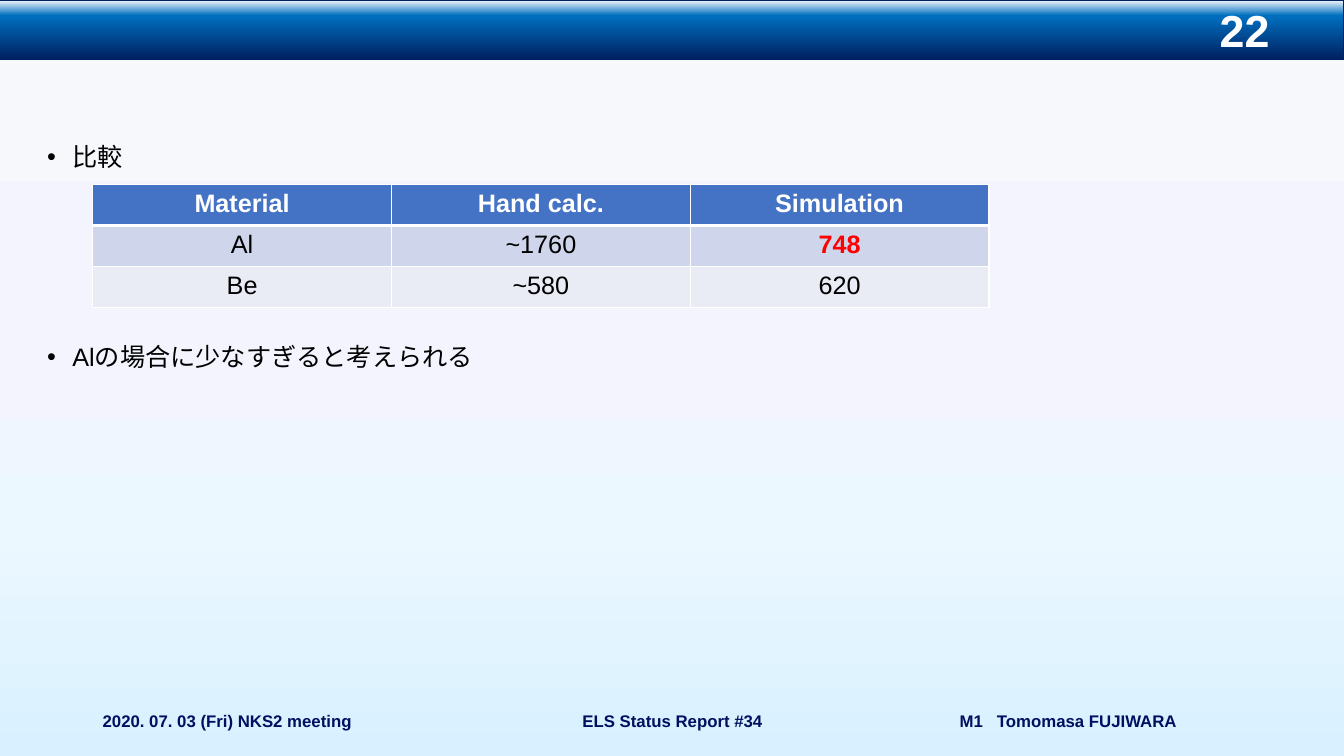
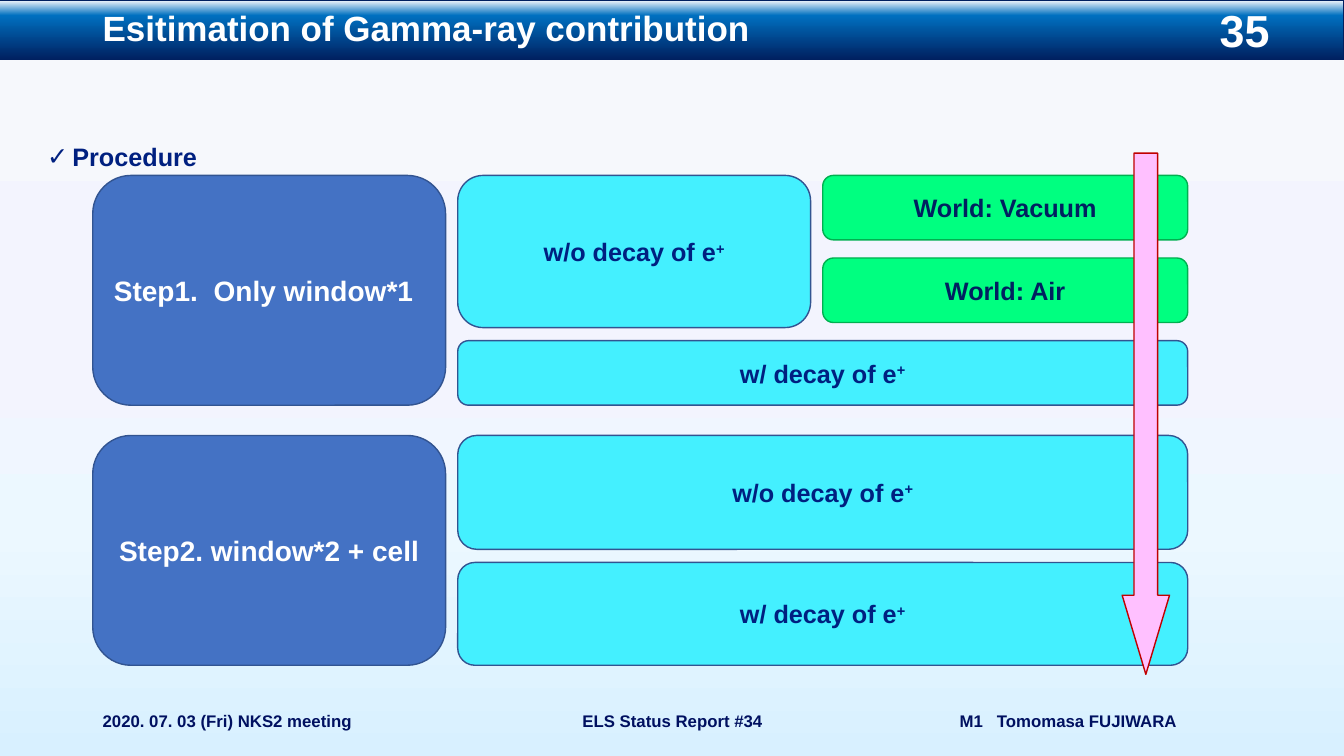
from dataclasses import dataclass

import lxml.etree
import pptx
import pptx.dml.color
import pptx.enum.shapes
import pptx.enum.text
import pptx.oxml.ns
import pptx.util

Inches = pptx.util.Inches
Pt = pptx.util.Pt
qn = pptx.oxml.ns.qn
SHAPES = pptx.enum.shapes.MSO_SHAPE
ALIGN = pptx.enum.text.PP_ALIGN
ANCHOR = pptx.enum.text.MSO_ANCHOR


@dataclass(frozen=True)
class Theme:
    font: str = "Arial"
    width: float = 13.33
    height: float = 7.5
    band_height: float = 0.59
    page: tuple = ((0, "F6F8FC"), (48, "F3F4FE"), (70, "ECF8FF"), (100, "D8F0FF"))
    band: tuple = ((0, "F6F8FC"), (26, "0070C0"), (100, "002060"))
    white: str = "FFFFFF"
    black: str = "000000"
    red: str = "FF0000"
    navy: str = "002060"
    ink: str = "002080"
    footer: str = "001060"
    blue: str = "4472C4"
    blue_line: str = "325491"
    cyan: str = "44F0FF"
    green: str = "00FF80"
    green_line: str = "00B050"
    pink: str = "FFC0FF"
    dark_red: str = "C00000"
    rows: tuple = ("CFD5EA", "E9EBF5")
    number_size: int = 32
    title_size: int = 25
    step_size: int = 20
    body_size: int = 18
    footer_size: int = 12


T = Theme()


def rgb(value):
    return pptx.dml.color.RGBColor.from_string(value)


def add_xml(parent, tag, **attrs):
    return lxml.etree.SubElement(parent, qn(tag), attrs)


def set_gradient(fill, element, stops):
    fill.gradient()
    fill.gradient_angle = 270
    gs_list = element.find(".//" + qn("a:gsLst"))
    for gs in list(gs_list):
        gs_list.remove(gs)
    for pos, color in stops:
        gs = add_xml(gs_list, "a:gs", pos=str(pos * 1000))
        add_xml(gs, "a:srgbClr", val=color)


def add_run(p, text, size, color, bold=True, raised=False):
    r = p.add_run()
    r.text = text
    r.font.name = T.font
    r.font.size = Pt(size)
    r.font.bold = bold
    r.font.color.rgb = rgb(color)
    if raised:
        r.font._element.set("baseline", "30000")


def add_tab(p, position):
    tabs = add_xml(p._p.get_or_add_pPr(), "a:tabLst")
    add_xml(tabs, "a:tab", pos=str(Inches(position)), algn="l")


def add_text(s, box, text, size, color, align=ALIGN.LEFT, tab=None):
    tf = s.shapes.add_textbox(*map(Inches, box)).text_frame
    tf.word_wrap = True
    tf.vertical_anchor = ANCHOR.MIDDLE
    p = tf.paragraphs[0]
    if tab:
        add_tab(p, tab)
    p.alignment = align
    add_run(p, text, size, color)
    return p


def add_shape(s, kind, box, fill, line, line_width=1):
    sp = s.shapes.add_shape(kind, *map(Inches, box))
    sp.shadow.inherit = False
    if isinstance(fill, str):
        sp.fill.solid()
        sp.fill.fore_color.rgb = rgb(fill)
    else:
        set_gradient(sp.fill, sp.element.spPr, fill)
    sp.line.color.rgb = rgb(line)
    sp.line.width = Pt(line_width)
    return sp


def add_block(s, box, text, fill, line, color, size=T.body_size, sup="", tab=None):
    sp = add_shape(s, SHAPES.ROUNDED_RECTANGLE, box, fill, line)
    tf = sp.text_frame
    tf.word_wrap = True
    tf.vertical_anchor = ANCHOR.MIDDLE
    p = tf.paragraphs[0]
    if tab:
        add_tab(p, tab)
    p.alignment = ALIGN.LEFT if tab else ALIGN.CENTER
    add_run(p, text, size, color)
    if sup:
        add_run(p, sup, size, color, raised=True)


def add_bullets(s, items, bullet, color, bold, gap=0):
    tf = s.shapes.add_textbox(*map(Inches, (0.37, 1.39, 12.6, 5.43))).text_frame
    tf.word_wrap = True
    for i, text in enumerate(items):
        p = tf.add_paragraph() if i else tf.paragraphs[0]
        pPr = p._p.get_or_add_pPr()
        pPr.set("marL", str(Inches(0.25)))
        pPr.set("indent", str(-Inches(0.25)))
        add_xml(pPr, "a:buFont", typeface=T.font)
        add_xml(pPr, "a:buChar", char=bullet)
        p.line_spacing = 0.9
        if i:
            p.space_before = Pt(gap)
        add_run(p, text, T.body_size, color, bold)


def add_base(prs, number, title=""):
    s = prs.slides.add_slide(prs.slide_layouts[6])
    set_gradient(s.background.fill, s.element, T.page)
    add_shape(s, SHAPES.RECTANGLE, (0, 0, T.width, T.band_height), T.band, T.navy, 0.75)
    add_text(s, (11.36, 0, 1.97, T.band_height), number, T.number_size, T.white, ALIGN.CENTER)
    if title:
        p = add_text(s, (0.92, 0, 11.5, T.band_height), title, T.title_size, T.white)
        p.line_spacing = 0.9
    for x, w, text, align, tab in (
        (0.92, 3, "2020. 07. 03 (Fri) NKS2 meeting", ALIGN.LEFT, None),
        (4.42, 4.5, "ELS Status Report #34", ALIGN.CENTER, None),
        (9.42, 3, "M1\tTomomasa FUJIWARA", ALIGN.LEFT, 0.37),
    ):
        add_text(s, (x, 6.95, w, 0.4), text, T.footer_size, T.footer, align, tab)
    return s


def set_borders(cell, top, bottom):
    tcPr = cell._tc.get_or_add_tcPr()
    for i, (side, width) in enumerate((("L", 1), ("R", 1), ("T", top), ("B", bottom))):
        ln = lxml.etree.Element(qn("a:ln" + side), {"w": str(Pt(width))})
        fill = add_xml(ln, "a:solidFill")
        add_xml(fill, "a:srgbClr", val=T.white)
        tcPr.insert(i, ln)


def add_comparison(s, box, rows, highlight):
    frame = s.shapes.add_table(len(rows), len(rows[0]), *map(Inches, box))
    table = frame.table
    table.horz_banding = False
    for i, row in enumerate(rows):
        for j, text in enumerate(row):
            cell = table.cell(i, j)
            cell.fill.solid()
            cell.fill.fore_color.rgb = rgb(T.rows[(i - 1) % 2] if i else T.blue)
            set_borders(cell, 3 if i == 1 else 1, 1 if i else 3)
            p = cell.text_frame.paragraphs[0]
            p.alignment = ALIGN.CENTER
            marked = (i, j) == highlight
            color = T.red if marked else T.black if i else T.white
            add_run(p, text, T.body_size, color, marked or i == 0)


def add_step(s, box, label, top_height, worlds=(), tab=None):
    x, y, w, h = box
    label_w, gap_x, gap_y = 3.5, 0.12, 0.13
    add_block(s, (x, y, label_w, h), label, T.blue, T.blue_line, T.white, T.step_size, tab=tab)
    right_x = x + label_w + gap_x
    right_w = w - label_w - gap_x
    top_w = label_w if worlds else right_w
    bottom = top_height + gap_y
    for text, case in (
        ("w/o decay of e", (right_x, y, top_w, top_height)),
        ("w/ decay of e", (right_x, y + bottom, right_w, h - bottom)),
    ):
        add_block(s, case, text, T.cyan, T.blue_line, T.ink, sup="+")
    world_x = right_x + top_w + gap_x
    for i, world in enumerate(worlds):
        world_box = (world_x, y + i * 0.82, x + w - world_x, 0.64)
        add_block(s, world_box, world, T.green, T.green_line, T.navy)


def build_comparison(prs):
    s = add_base(prs, "22")
    add_bullets(s, ("比較", "Alの場合に少なすぎると考えられる"), "•", T.black, False, 123)
    rows = (
        ("Material", "Hand calc.", "Simulation"),
        ("Al", "~1760", "748"),
        ("Be", "~580", "620"),
    )
    add_comparison(s, (0.92, 1.83, 8.89, 1.22), rows, (1, 2))


def build_procedure(prs):
    s = add_base(prs, "35", "Esitimation of Gamma-ray contribution")
    add_bullets(s, ("Procedure",), "✓", T.ink, True)
    x, w, h = 0.92, 10.86, 2.28
    worlds = ("World: Vacuum", "World: Air")
    add_step(s, (x, 1.74, w, h), "Step1.\tOnly window*1", 1.51, worlds, 0.99)
    add_step(s, (x, 4.32, w, h), "Step2. window*2 + cell", 1.13)
    arrow = add_shape(s, SHAPES.DOWN_ARROW, (11.13, 1.52, 0.47, 5.17), T.pink, T.dark_red)
    arrow.adjustments[0] = 0.5
    arrow.adjustments[1] = 1.67


def main():
    prs = pptx.Presentation()
    prs.slide_width = Inches(T.width)
    prs.slide_height = Inches(T.height)
    build_comparison(prs)
    build_procedure(prs)
    prs.save("out.pptx")


if __name__ == "__main__":
    main()
